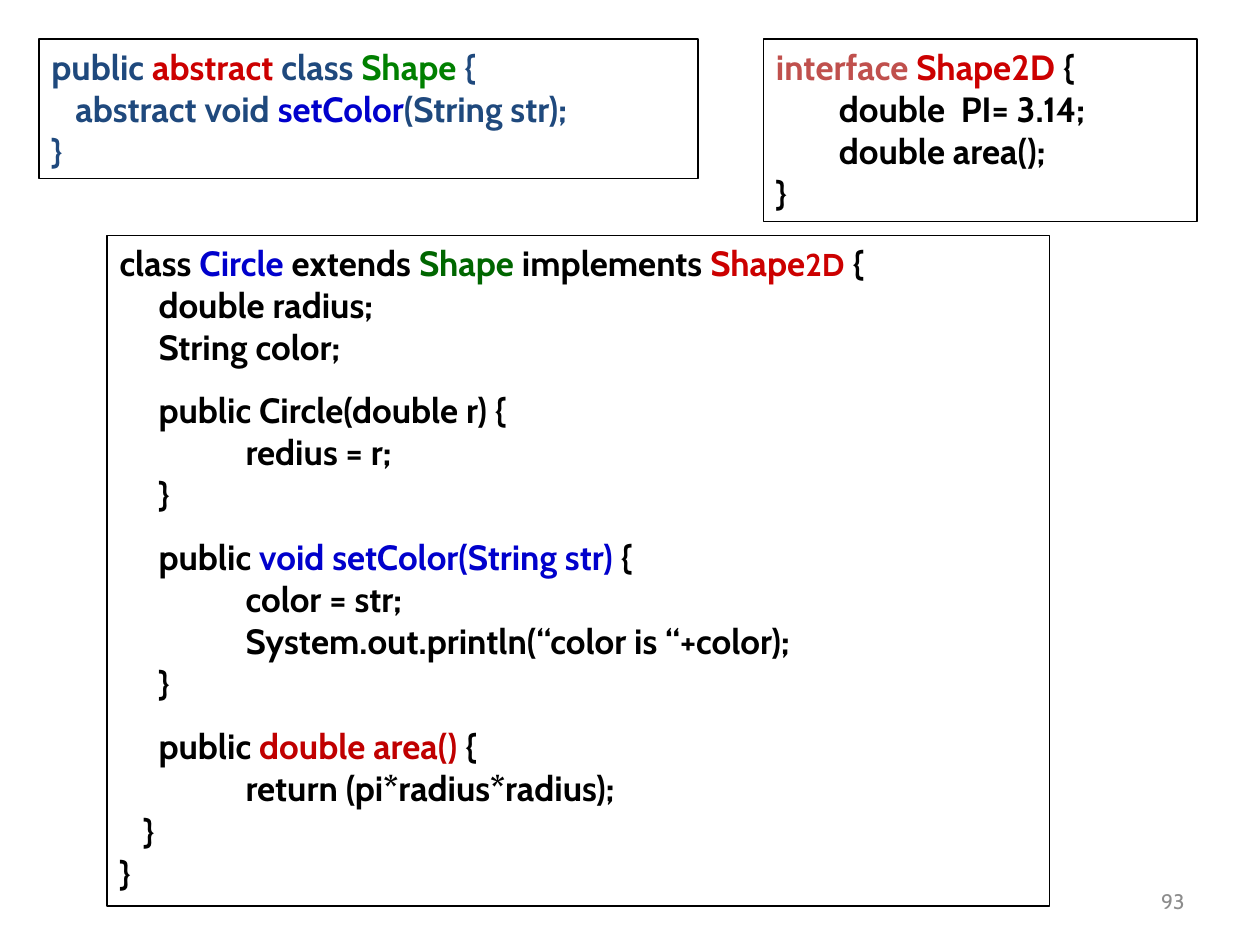
from pptx import Presentation
from pptx.dml.color import RGBColor as RGB
from pptx.enum.shapes import MSO_SHAPE as Preset
from pptx.enum.text import MSO_ANCHOR as Anchor, MSO_AUTO_SIZE as Fit, PP_ALIGN as Align
from pptx.util import Inches, Pt


class Theme:
    font = "Cabin"
    code, small, gap, note = Pt(20), Pt(18), Pt(12), Pt(12)
    rule = Pt(0.75)
    black, gray, navy = RGB(0, 0, 0), RGB(0x8C, 0x8C, 0x8C), RGB(0x1F, 0x49, 0x7D)
    blue, red, brick = RGB(0, 0, 0xCC), RGB(0xCC, 0, 0), RGB(0xC0, 0, 0)
    rose, green, leaf = RGB(0xC0, 0x50, 0x4D), RGB(0, 0x66, 0), RGB(0, 0x80, 0)


def style(run, size, color, bold=True):
    font = run.font
    font.name, font.size, font.bold = Theme.font, size, bold
    font.color.rgb = color


deck = Presentation()
deck.slide_width, deck.slide_height = Inches(10), Inches(7.5)
slide = deck.slides.add_slide(deck.slide_layouts[6])

# Each line: left indent and first-line offset in inches, then its runs.
# A run is plain text in the box's base colour, or (text, colour[, size]).
# "\n" breaks the line; a line starting with "public" at depth opens a block.
deep = 0.31
circle = [
    (deep, -deep, ["class ", ("Circle", Theme.blue), " extends ", ("Shape", Theme.green),
                   " implements ", ("Shape", Theme.red), ("2D", Theme.red, Theme.small),
                   " {", "\n", "double radius;"]),
    (deep, 0, ["String color;"]),
    (deep, 0, ["public Circle(double r) {"]),
    (1, 0, ["redius = r;"]),
    (deep, 0, ["}"]),
    (deep, 0, ["public ", ("void setColor(String str) ", Theme.blue), "{"]),
    (1, 0, ["color = str;"]),
    (1, 0, ["System.out.println(“color is “+color);"]),
    (deep, 0, ["}"]),
    (deep, 0, ["public ", ("double area() ", Theme.brick), "{"]),
    (1, 0, ["return (pi*radius*radius);"]),
    (0.19, 0, ["}"]),
    (0, 0, ["}"]),
]
parent = [
    (0, 0, ["public ", ("abstract", Theme.red), " class ", ("Shape", Theme.leaf), " {"]),
    (0.19, 0, ["abstract void ", ("setColor", Theme.blue), "(String str);"]),
    (0, 0, ["}"]),
]
face = [
    (0, 0, [("interface ", Theme.rose), ("Shape2D", Theme.red), " {"]),
    (0.5, 0, ["double  PI= 3.14;"]),
    (0.5, 0, ["double area();"]),
    (0, 0, ["}"]),
]
boxes = [
    ((0.85, 1.87, 7.48, 5.32), Theme.black, circle),
    ((0.31, 0.31, 5.23, 1.11), Theme.navy, parent),
    ((6.06, 0.31, 3.44, 1.45), Theme.black, face),
]

# Code boxes
for place, base, lines in boxes:
    box = slide.shapes.add_shape(Preset.RECTANGLE, *map(Inches, place))
    box.shadow.inherit = False
    box.fill.background()
    box.line.color.rgb, box.line.width = Theme.black, Theme.rule
    frame = box.text_frame
    frame.word_wrap, frame.vertical_anchor = True, Anchor.TOP
    frame.auto_size = Fit.SHAPE_TO_FIT_TEXT
    for row, (left, first, parts) in enumerate(lines):
        para = frame.add_paragraph() if row else frame.paragraphs[0]
        para.alignment = Align.LEFT
        if left and str(parts[0]).startswith("public"):
            para.space_before = Theme.gap
        props = para._p.get_or_add_pPr()
        props.set("marL", str(Inches(left)))
        props.set("indent", str(Inches(first)))
        for part in parts:
            if part == "\n":
                para.add_line_break()
                continue
            text, color, *size = (part, base) if isinstance(part, str) else part
            run = para.add_run()
            run.text = text
            style(run, size[0] if size else Theme.code, color)

# Page number
page = slide.shapes.add_textbox(Inches(7.17), Inches(6.95), Inches(2.33), Inches(0.4))
frame = page.text_frame
frame.word_wrap, frame.vertical_anchor = True, Anchor.MIDDLE
frame.text = "93"
frame.paragraphs[0].alignment = Align.RIGHT
style(frame.paragraphs[0].runs[0], Theme.note, Theme.gray, bold=False)

deck.save("out.pptx")
